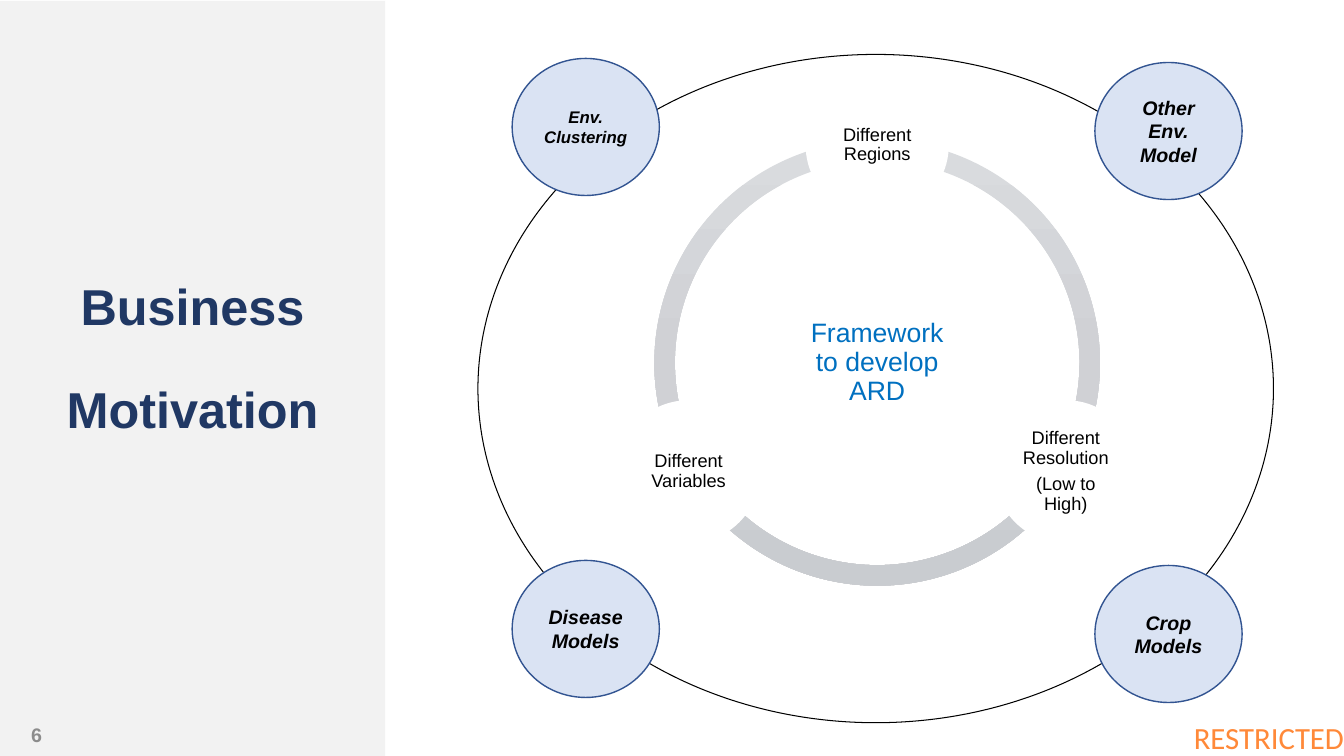
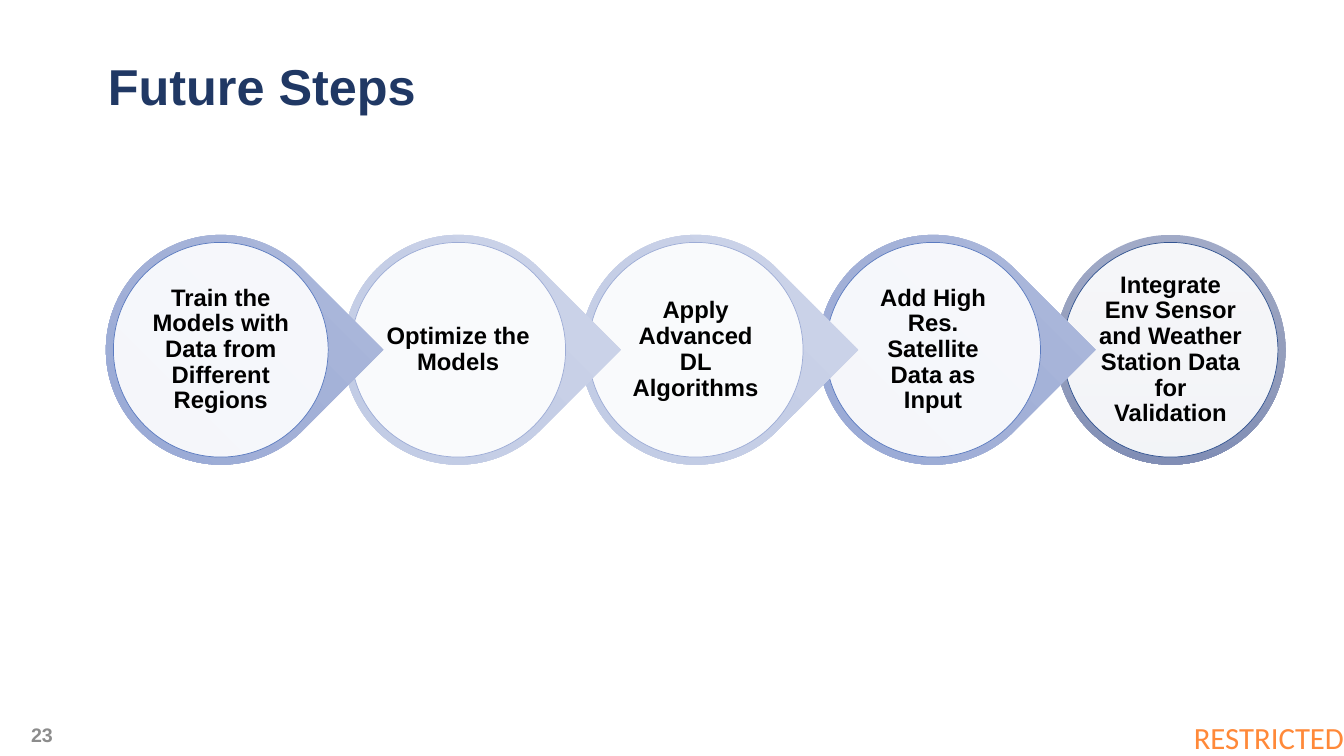
from copy import deepcopy
from dataclasses import dataclass
from math import cos, radians, sin

from lxml import etree
from pptx import Presentation
from pptx.dml.color import RGBColor
from pptx.enum.shapes import MSO_SHAPE as SHAPE
from pptx.enum.text import MSO_ANCHOR as ANCHOR, MSO_AUTO_SIZE as AUTO, PP_ALIGN as ALIGN
from pptx.oxml.ns import qn
from pptx.util import Inches, Pt


@dataclass(frozen=True)
class Theme:
    font: str = "Arial"
    stamp_font: str = "Calibri"
    title: str = "203864"
    text: str = "000000"
    white: str = "FFFFFF"
    panel: str = "F2F2F2"
    number: str = "8C8C8C"
    stamp: str = "FF8939"
    hub: str = "0070C0"
    model: str = "DAE3F3"
    edge: str = "325491"
    arc: tuple = ("D9DBDE", "D0D1D5", "C9CCD0")
    title_size: int = 36
    stamp_size: int = 22
    hub_size: int = 19
    step_size: int = 17
    small_size: int = 14
    node_size: int = 13
    tiny_size: int = 12


T = Theme()

# Content: slide 1
MOTIVATION = "Business Motivation"
HUB = "Framework to develop ARD"
NODES = [  # angle on the ring, paragraphs
    (-90, ["Different Regions"]),
    (30, ["Different Resolution", "(Low to High)"]),
    (150, ["Different Variables"]),
]
ARCS = [(90, 162), (18, 90), (162, 18)]
MODELS = [  # left, top, label, size
    (5.08, 0.58, "Env. Clustering", T.tiny_size),
    (10.86, 0.62, "Other Env. Model", T.small_size),
    (5.08, 5.56, "Disease Models", T.small_size),
    (10.86, 5.61, "Crop Models", T.small_size),
]

# Content: slide 2
FUTURE = "Future Steps"
TONES = {  # gradient, disc outline
    "mid": (("B0BCDD", "A2B0D7", "92A4D4"), "5B7BC0"),
    "light": (("D2D8EC", "C5CEE6", "BCC7E4"), "9DACD6"),
    "dark": (("A1AAC7", "949EBC", "818EB5"), T.edge),
}
STEPS = [
    ("Train the Models with Data from Different Regions", "mid"),
    ("Optimize the Models", "light"),
    ("Apply Advanced DL Algorithms", "light"),
    ("Add High Res. Satellite Data as Input", "mid"),
    ("Integrate Env Sensor and Weather Station Data for Validation", "dark"),
]


def rgb(value):
    return RGBColor.from_string(value)


def write(sp, paragraphs, size, color, font=T.font, bold=False, italic=False,
          align=ALIGN.LEFT, anchor=ANCHOR.MIDDLE, inset=None, spacing=None,
          after=0, wrap=True):
    tf = sp.text_frame
    tf.auto_size = AUTO.NONE
    tf.word_wrap = wrap
    tf.vertical_anchor = anchor
    if inset is not None:
        tf.margin_left = tf.margin_right = Inches(inset)
        tf.margin_top = tf.margin_bottom = Inches(inset)
    for i, text in enumerate(paragraphs):
        p = tf.paragraphs[0] if i == 0 else tf.add_paragraph()
        p.alignment = align
        if spacing:
            p.line_spacing = spacing
        if after:
            p.space_after = Pt(after)
        r = p.add_run()
        r.text = text
        r.font.name, r.font.size = font, Pt(size)
        r.font.bold, r.font.italic = bold, italic
        r.font.color.rgb = rgb(color)


def write_diagram(sp, paragraphs, size, color=T.text, bold=False, inset=0.02):
    write(sp, paragraphs, size, color, bold=bold, align=ALIGN.CENTER,
          inset=inset, spacing=0.9, after=round(size * 0.35, 1))


def add_shape(s, kind, x, y, w, h, fill=None, line=None, weight=1.0):
    sp = s.shapes.add_shape(kind, Inches(x), Inches(y), Inches(w), Inches(h))
    sp.shadow.inherit = False
    if isinstance(fill, tuple):
        fill_gradient(sp, fill)
    elif fill:
        sp.fill.solid()
        sp.fill.fore_color.rgb = rgb(fill)
    else:
        sp.fill.background()
    if line:
        sp.line.color.rgb = rgb(line)
        sp.line.width = Pt(weight)
    else:
        sp.line.fill.background()
    return sp


def add_centred(s, kind, cx, cy, size, **style):
    return add_shape(s, kind, cx - size / 2, cy - size / 2, size, size, **style)


def fill_gradient(sp, colors):
    """Three even stops running from top to bottom."""
    sp.fill.gradient()
    sp.fill.gradient_angle = 270
    stops = sp._element.spPr.find(".//" + qn("a:gsLst"))
    stops.append(deepcopy(stops[-1]))
    for i, (stop, color) in enumerate(zip(sp.fill.gradient_stops, colors)):
        stop.position = i / 2
        stop.color.rgb = rgb(color)


def set_opacity(sp, percent):
    color = sp._element.spPr.find(qn("a:solidFill"))[0]
    etree.SubElement(color, qn("a:alpha")).set("val", str(percent * 1000))


def add_text(s, x, y, w, h, text, size, color, **style):
    box = s.shapes.add_textbox(Inches(x), Inches(y), Inches(w), Inches(h))
    write(box, [text], size, color, **style)


def start_slide(prs, number):
    s = prs.slides.add_slide(prs.slide_layouts[5])
    add_text(s, 11.84, 7.13, 1.49, 0.37, "RESTRICTED", T.stamp_size, T.stamp,
             font=T.stamp_font, anchor=ANCHOR.TOP, inset=0, wrap=False)
    return s, number


def finish_frame(s, number, title, box, **style):
    """Title above the background shapes, then the page number."""
    sp = s.shapes.title
    sp.left, sp.top, sp.width, sp.height = map(Inches, box)
    write(sp, [title], T.title_size, T.title, bold=True, **style)
    s.shapes._spTree.append(sp._element)
    add_text(s, 0.21, 7.09, 3, 0.4, str(number), T.small_size, T.number, bold=True)


def build_motivation(prs):
    s, number = start_slide(prs, 6)
    add_shape(s, SHAPE.OVAL, 4.74, 0.54, 7.89, 6.63, line=T.text, weight=0.75)
    add_shape(s, SHAPE.RECTANGLE, 0, 0.01, 3.82, 7.49, fill=T.panel)
    finish_frame(s, number, MOTIVATION, (0, 2.7, 3.82, 1.26),
                 align=ALIGN.CENTER, spacing=1.7)

    # Ring of arcs, hub and nodes
    cx, cy, radius = 8.7, 3.6, 2.16
    for start, end in ARCS:
        arc = add_centred(s, SHAPE.BLOCK_ARC, cx, cy, 4.42, fill=T.arc)
        # Angles are stored in 60000ths of a degree, adjustments in 100000ths
        for i, value in enumerate((start * 0.6, end * 0.6, 0.046)):
            arc.adjustments[i] = value
    hub = add_centred(s, SHAPE.OVAL, cx, cy, 2.03, fill=T.white)
    write_diagram(hub, [HUB], T.hub_size, T.hub, inset=0.03)
    for angle, paragraphs in NODES:
        a = radians(angle)
        node = add_centred(s, SHAPE.OVAL, cx + radius * cos(a),
                           cy + radius * sin(a), 1.42, fill=T.white)
        write_diagram(node, paragraphs, T.node_size)

    # Models on the outer orbit
    for x, y, label, size in MODELS:
        model = add_shape(s, SHAPE.OVAL, x, y, 1.46, 1.36, fill=T.model, line=T.edge)
        write(model, [label], size, T.text, bold=True, italic=True, align=ALIGN.CENTER)


def build_future(prs):
    s, number = start_slide(prs, 23)
    finish_frame(s, number, FUTURE, (0.97, 0.41, 10.69, 0.95), spacing=0.9)

    # Chain drawn from the last step, so each tip overlaps the next disc
    first, last, cy = 2.19, 11.61, 3.47
    pitch = (last - first) / (len(STEPS) - 1)
    for i, (label, tone) in reversed(list(enumerate(STEPS))):
        cx = first + i * pitch
        gradient, outline = TONES[tone]
        is_last = i == len(STEPS) - 1
        drop = add_centred(s, SHAPE.OVAL if is_last else SHAPE.TEAR, cx, cy, 2.28,
                           fill=gradient)
        if not is_last:
            drop.rotation = 45
        disc = add_centred(s, SHAPE.OVAL, cx, cy, 2.13, fill=T.white,
                           line=outline, weight=0.5)
        set_opacity(disc, 90)
        write_diagram(disc, [label], T.step_size, bold=True)


def main():
    prs = Presentation()
    prs.slide_width, prs.slide_height = Inches(13.33), Inches(7.5)
    build_motivation(prs)
    build_future(prs)
    prs.save("out.pptx")


if __name__ == "__main__":
    main()
